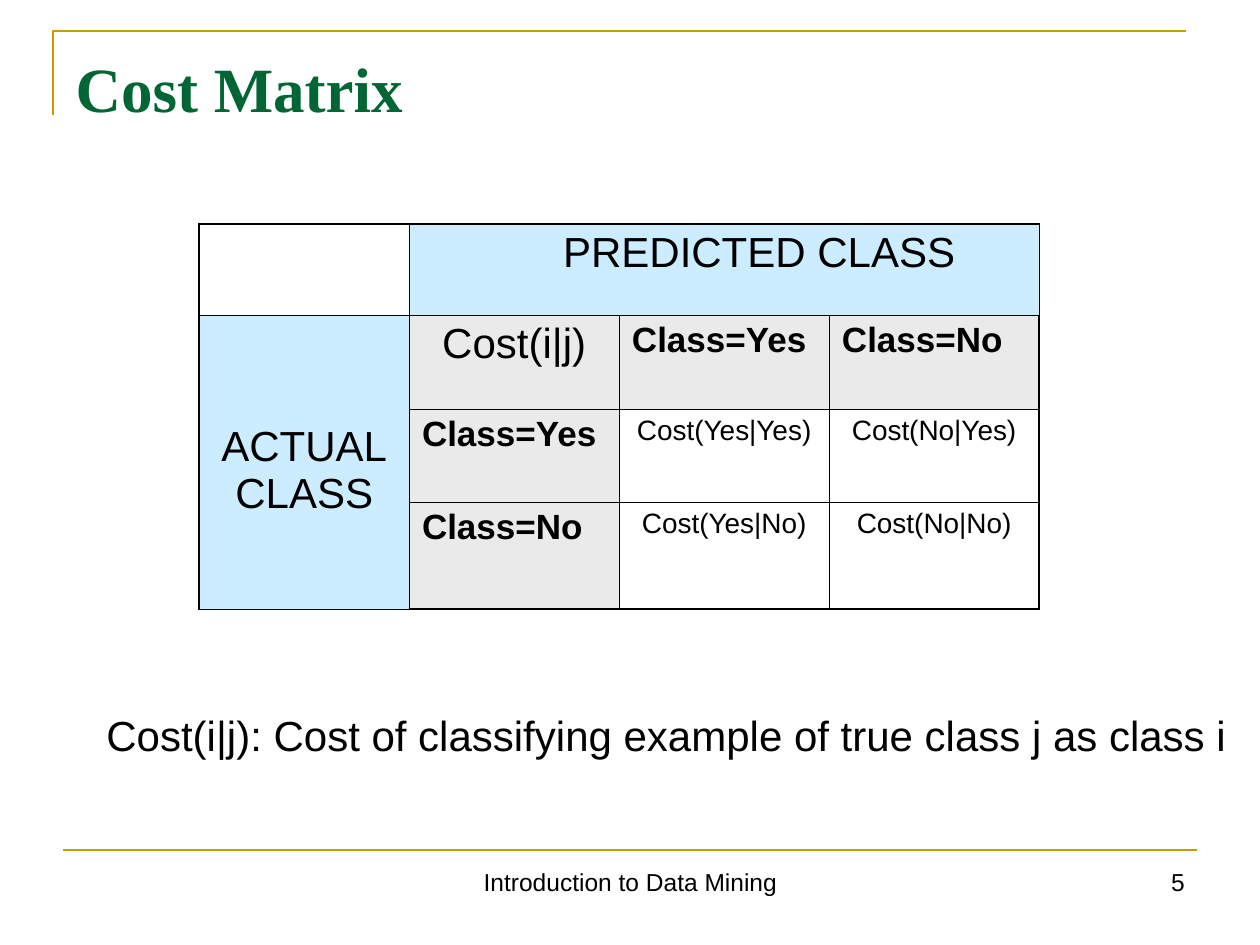
from dataclasses import dataclass
from typing import Optional

from lxml.etree import SubElement
from pptx import Presentation
from pptx.dml.color import RGBColor
from pptx.enum.shapes import MSO_CONNECTOR
from pptx.enum.text import MSO_ANCHOR, PP_ALIGN
from pptx.oxml.ns import qn
from pptx.util import Emu, Pt

SCALE = 914400 / 126
BLACK = RGBColor(0x00, 0x00, 0x00)
GOLD = RGBColor(0xCC, 0x99, 0x00)
GREEN = RGBColor(0x00, 0x66, 0x33)
BLUE = RGBColor(0xCC, 0xEC, 0xFF)
GRAY = RGBColor(0xEA, 0xEA, 0xEA)
LEFT, CENTER, RIGHT = PP_ALIGN.LEFT, PP_ALIGN.CENTER, PP_ALIGN.RIGHT
THIN, THICK = Pt(0.45), Pt(1.08)


@dataclass
class Label:
    text: str
    box: tuple[int, int, int, int]
    size: int
    align: PP_ALIGN = LEFT


@dataclass
class Entry:
    row: int
    col: int
    text: str
    size: int
    align: PP_ALIGN = CENTER
    bold: bool = False
    fill: Optional[RGBColor] = None
    left: int = 13
    top: int = 6


LABELS = [
    Label("Introduction to Data Mining", (431, 861, 399, 65), 14, CENTER),
    Label("5", (903, 861, 294, 65), 14, RIGHT),
    Label("Cost(i|j): Cost of classifying example of true class j as class i",
          (94, 703, 1155, 126), 24),
]
CLASSES = ["Yes", "No"]
ROWS = [91, 94, 93, 107]
COLS = [210] * 4


def px(num: int) -> Emu:
    return Emu(round(num * SCALE))


def write(frame, text: str, *, size: int, font: str = "Arial",
          color: RGBColor = BLACK, bold: bool = False,
          align: PP_ALIGN = LEFT) -> None:
    frame.word_wrap = True
    para = frame.paragraphs[0]
    para.text = text
    para.alignment = align
    for run in para.runs:
        run.font.name = font
        run.font.size = Pt(size)
        run.font.bold = bold
        run.font.color.rgb = color


def add_label(slide, label: Label) -> None:
    box = slide.shapes.add_textbox(*map(px, label.box))
    write(box.text_frame, label.text, size=label.size, align=label.align)


def add_rules(slide) -> None:
    """Draw the corner rule above the title and the line above the footer."""
    pen = slide.shapes.build_freeform(px(53), px(115), scale=1.0)
    pen.add_line_segments([(px(53), px(31)), (px(1186), px(31))], close=False)
    corner = pen.convert_to_shape()
    corner.shadow.inherit = False
    corner.fill.background()
    base = slide.shapes.add_connector(
        MSO_CONNECTOR.STRAIGHT, px(63), px(850), px(1197), px(850))
    SubElement(base._element.spPr, qn("a:effectLst"))
    for rule in (corner, base):
        rule.line.color.rgb = GOLD
        rule.line.width = Pt(1.5)


def add_border(cell, sides: dict[str, int]) -> None:
    props = cell._tc.get_or_add_tcPr()
    for side, width in sides.items():
        line = SubElement(props, qn(f"a:ln{side}"), w=str(width))
        fill = SubElement(line, qn("a:solidFill"))
        SubElement(fill, qn("a:srgbClr"), val=str(BLACK))


def list_entries() -> list[Entry]:
    items = [
        Entry(0, 1, "PREDICTED CLASS", 24, fill=BLUE, left=83),
        Entry(1, 0, "ACTUAL\vCLASS", 24, fill=BLUE, top=109),
        Entry(1, 1, "Cost(i|j)", 24, fill=GRAY),
    ]
    for i, true in enumerate(CLASSES, 2):
        for row, col in ((1, i), (i, 1)):
            items.append(Entry(row, col, f"Class={true}", 20, LEFT, True, GRAY))
        for j, guess in enumerate(CLASSES, 2):
            # Rows hold the true class, columns the predicted one
            items.append(Entry(i, j, f"Cost({guess}|{true})", 16))
    return items


def add_matrix(slide) -> None:
    frame = slide.shapes.add_table(
        len(ROWS), len(COLS), px(199), px(224), px(sum(COLS)), px(sum(ROWS)))
    table = frame.table
    table.first_row = table.horz_banding = False
    for row, high in zip(table.rows, ROWS):
        row.height = px(high)
    for col, wide in zip(table.columns, COLS):
        col.width = px(wide)
    last = len(ROWS) - 1
    for r in range(len(ROWS)):
        for c in range(len(COLS)):
            cell = table.cell(r, c)
            add_border(cell, {
                "L": THICK if c == 0 else THIN,
                "R": THICK if c == last else THIN,
                "T": THICK if r == 0 else THIN,
                "B": THICK if r == last else THIN,
            })
            cell.fill.background()
    table.cell(0, 1).merge(table.cell(0, last))
    table.cell(1, 0).merge(table.cell(last, 0))
    for item in list_entries():
        cell = table.cell(item.row, item.col)
        cell.margin_left, cell.margin_top = px(item.left), px(item.top)
        if item.fill is not None:
            cell.fill.solid()
            cell.fill.fore_color.rgb = item.fill
        write(cell.text_frame, item.text, size=item.size,
              bold=item.bold, align=item.align)


def main() -> None:
    deck = Presentation()
    deck.slide_width, deck.slide_height = px(1260), px(945)
    slide = deck.slides.add_slide(deck.slide_layouts[5])
    add_rules(slide)
    title = slide.shapes.title
    title.left, title.top, title.width, title.height = map(
        px, (63, 38, 1134, 98))
    title.text_frame.vertical_anchor = MSO_ANCHOR.MIDDLE
    write(title.text_frame, "Cost Matrix", size=36, font="Times New Roman",
          color=GREEN, bold=True)
    add_matrix(slide)
    for label in LABELS:
        add_label(slide, label)
    deck.save("out.pptx")


if __name__ == "__main__":
    main()
